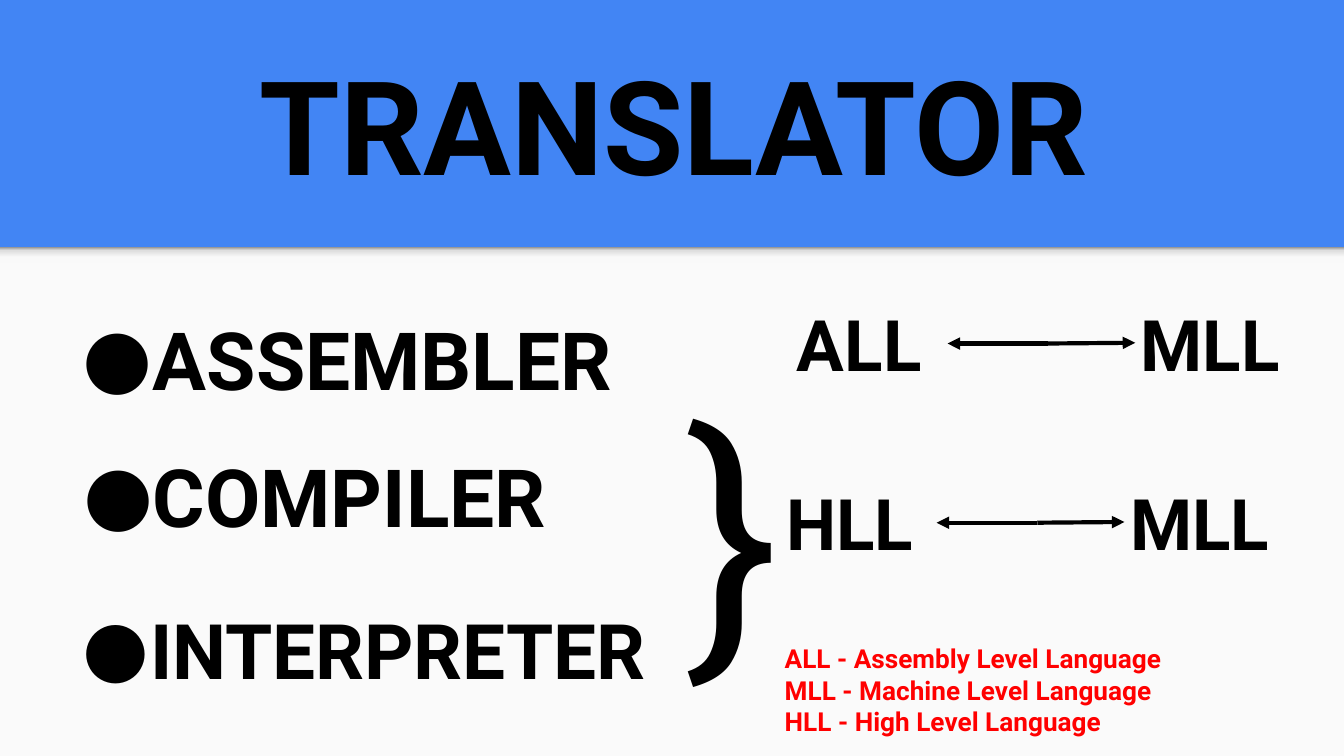
import pptx
import pptx.dml.color
import pptx.enum.shapes
import pptx.enum.text
import pptx.oxml
import pptx.oxml.ns
import pptx.util
from lxml import etree

Pt = pptx.util.Pt
SLIDE_WIDTH, SLIDE_HEIGHT = 720, 405
BANNER_HEIGHT = 132.5
FONT = "Roboto"
BLACK, RED, BLUE, PAPER = "000000", "FF0000", "4285F4", "FAFAFA"
SHADOW_STOPS = [(0, "F9F9F9"), (36, "F9F9F9"), (80, "DEDEDE"), (100, "999999")]


def color(hex_value):
    return pptx.dml.color.RGBColor.from_string(hex_value)


def add_child(parent, tag, **attributes):
    return etree.SubElement(parent, pptx.oxml.ns.qn(tag), attributes)


def add_rectangle(slide, left, top, width, height):
    shape = slide.shapes.add_shape(
        pptx.enum.shapes.MSO_SHAPE.RECTANGLE, Pt(left), Pt(top), Pt(width), Pt(height))
    shape.shadow.inherit = False
    shape.line.fill.background()
    return shape


def add_text(slide, box, lines, size, hex_value=BLACK, bold=True, grow=True):
    text_box = slide.shapes.add_textbox(*[Pt(length) for length in box])
    frame = text_box.text_frame
    frame.word_wrap = True
    frame.margin_left = frame.margin_right = Pt(7.2)
    frame.margin_top = frame.margin_bottom = Pt(7.2)
    if grow:
        frame.auto_size = pptx.enum.text.MSO_AUTO_SIZE.SHAPE_TO_FIT_TEXT
    frame.text = "\n".join(lines)
    for paragraph in frame.paragraphs:
        for run in paragraph.runs:
            run.font.name = FONT
            run.font.size = Pt(size)
            run.font.bold = bold
            run.font.color.rgb = color(hex_value)
    return text_box


def add_arrow(slide, start, end):
    arrow = slide.shapes.add_connector(
        pptx.enum.shapes.MSO_CONNECTOR.STRAIGHT,
        Pt(start[0]), Pt(start[1]), Pt(end[0]), Pt(end[1]))
    arrow.line.width = Pt(2.25)
    arrow.line.color.rgb = color(BLACK)
    add_child(arrow.line._get_or_add_ln(), "a:tailEnd", type="triangle")
    add_child(arrow._element.spPr, "a:effectLst")
    return arrow


def add_background(slide, left, top, width, height):
    slide.background.fill.solid()
    slide.background.fill.fore_color.rgb = color(BLUE)
    # Light panel below the banner
    panel = add_rectangle(slide, left, top, width, height)
    panel.fill.solid()
    panel.fill.fore_color.rgb = color(PAPER)
    # Soft shadow under the banner, darkest at its top
    shadow = add_rectangle(slide, left, top, width, 8.6)
    shadow.fill.gradient()
    shadow.fill.gradient_angle = 90
    stops = shadow._element.spPr.find(".//" + pptx.oxml.ns.qn("a:gsLst"))
    for stop in list(stops):
        stops.remove(stop)
    for percent, hex_value in SHADOW_STOPS:
        stop = add_child(stops, "a:gs", pos=str(percent * 1000))
        add_child(stop, "a:srgbClr", val=hex_value)


def add_title(slide, left, top, width, height):
    title = add_text(slide, (left, top, width, height), ["TRANSLATOR"], 70, grow=False)
    title.text_frame.vertical_anchor = pptx.enum.text.MSO_ANCHOR.MIDDLE
    title.text_frame.paragraphs[0].alignment = pptx.enum.text.PP_ALIGN.CENTER


def add_bullet(slide, left, top, width, height, word, size, hanging):
    text_box = add_text(slide, (left, top, width, height), [word], size, grow=False)
    paragraph = text_box.text_frame.paragraphs[0]
    paragraph.line_spacing = 1.15
    properties = paragraph._p.get_or_add_pPr()
    properties.set("marL", str(Pt(36)))
    properties.set("indent", str(-Pt(hanging)))
    bullet_color = add_child(properties, "a:buClr")
    add_child(bullet_color, "a:srgbClr", val=BLACK)
    add_child(properties, "a:buFont", typeface=FONT)
    add_child(properties, "a:buChar", char="●")


def add_translation(slide, left, top, source, target):
    """Two language levels joined by arrows pointing both ways."""
    height = 60.5
    middle = top + height / 2
    center = (left + 141.7, middle)
    source_box = add_text(slide, (left, top, 87.8, height), [source], 38)
    add_text(slide, (left + 184.3, top, 100.8, height), [target], 38)
    to_source = add_arrow(slide, center, (left + 87.8, middle))
    to_source.end_connect(source_box, 3)
    add_arrow(slide, center, (left + 188.4, middle - 0.4))


def add_legend(slide, left, top, width, height):
    lines = ["ALL - Assembly Level Language",
             "MLL - Machine Level Language",
             "HLL - High Level Language"]
    add_text(slide, (left, top, width, height), lines, 14, RED)


def main():
    presentation = pptx.Presentation()
    presentation.slide_width = Pt(SLIDE_WIDTH)
    presentation.slide_height = Pt(SLIDE_HEIGHT)
    slide = presentation.slides.add_slide(presentation.slide_layouts[6])

    add_background(slide, 0, BANNER_HEIGHT, SLIDE_WIDTH, SLIDE_HEIGHT - BANNER_HEIGHT)
    add_title(slide, 37.4, 13, 647.3, 105.8)

    # Kinds of translator
    add_bullet(slide, 37.4, 151.2, 329, 56.2, "ASSEMBLER", 43, 39.6)
    add_bullet(slide, 37.4, 224.6, 289, 65.5, "COMPILER", 43, 39.6)
    add_bullet(slide, 37.4, 308.2, 335.5, 65.5, "INTERPRETER", 41, 38.2)

    # What each one translates
    add_translation(slide, 419.8, 153.8, "ALL", "MLL")
    add_translation(slide, 414, 249.8, "HLL", "MLL")

    # Brace grouping compiler and interpreter
    add_text(slide, (360, 184.3, 87.8, 196.6), ["}"], 150, bold=False)
    add_legend(slide, 413.3, 337, 288.7, 65.5)

    presentation.save("out.pptx")


if __name__ == "__main__":
    main()
